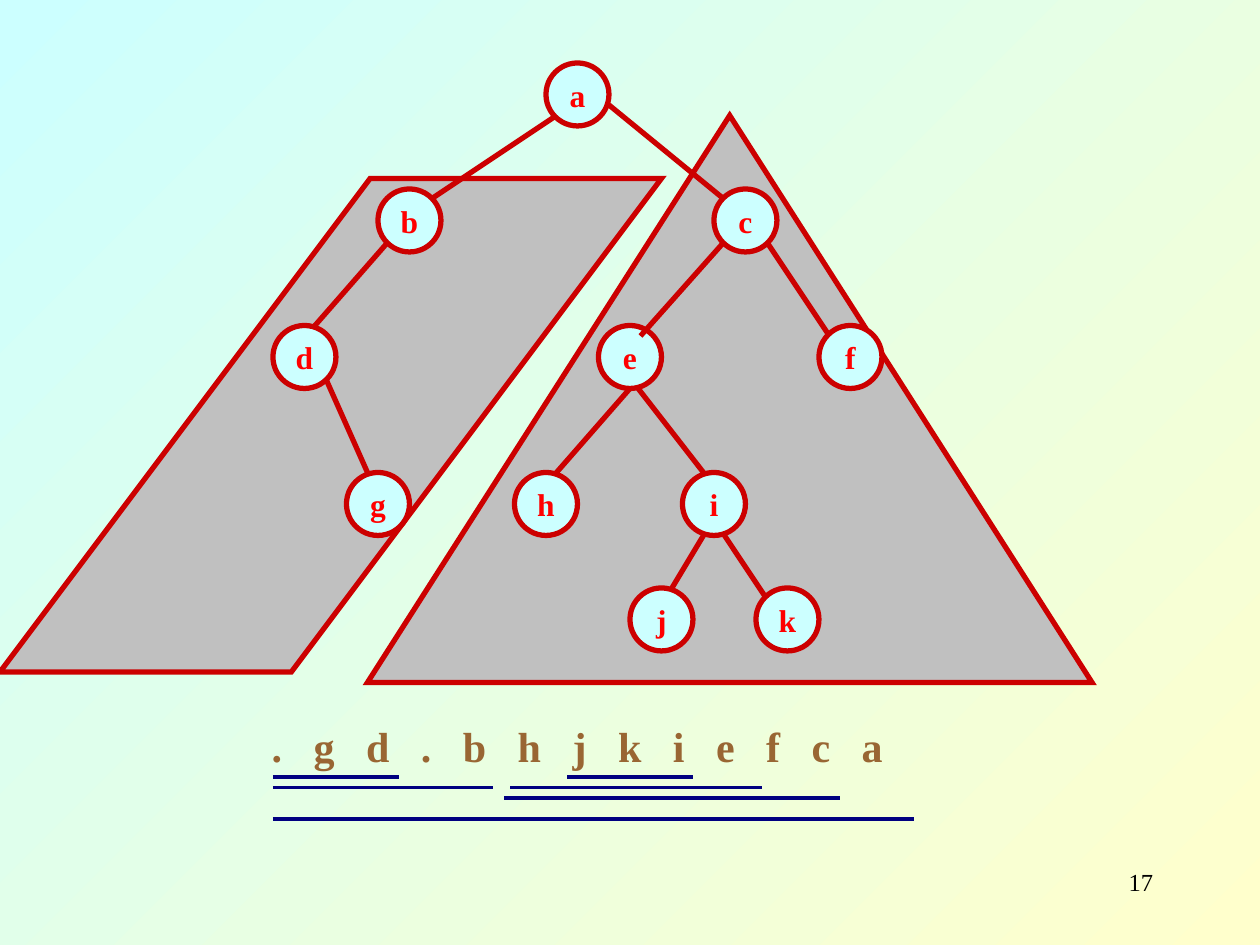
"""Build a slide of a binary tree with its postorder walk."""
from dataclasses import dataclass

from lxml import etree
from pptx import Presentation
from pptx.dml.color import RGBColor
from pptx.enum.shapes import MSO_CONNECTOR, MSO_SHAPE
from pptx.enum.text import MSO_ANCHOR, MSO_AUTO_SIZE, PP_ALIGN
from pptx.oxml.ns import qn
from pptx.util import Inches, Pt

OVAL, TRI, SLANT = MSO_SHAPE.OVAL, MSO_SHAPE.ISOSCELES_TRIANGLE, MSO_SHAPE.PARALLELOGRAM
LINE = MSO_CONNECTOR.STRAIGHT
MID, GROW = MSO_ANCHOR.MIDDLE, MSO_AUTO_SIZE.SHAPE_TO_FIT_TEXT
MID_X, RIGHT = PP_ALIGN.CENTER, PP_ALIGN.RIGHT


@dataclass(frozen=True)
class Theme:
    """Colours and sizes of the slide."""
    font: str = "Times New Roman"
    warm: str = "FFFFCC"
    cool: str = "CCFFFF"
    zone: str = "C0C0C0"
    edge: str = "CC0000"
    node: str = "FF0000"
    walk: str = "996633"
    rule: str = "000080"
    ink: str = "000000"
    node_size: int = 18
    walk_size: int = 24
    page_size: int = 14
    edge_wide: int = 3
    rule_wide: int = 2


LOOK = Theme()
CELL = 1 / 12
SIDE = 6
WALK = ". g d . b h j k i e f c a"
PAGE = "17"
LEFT_ZONE = (0, 17, 63, 47)
RIGHT_ZONE = (35, 11, 69, 54)
WALK_BOX = (10, 68, 90, 6)
PAGE_BOX = (86, 82, 25, 6)
LEVELS = [
    (6, {"a": 52}),
    (18, {"b": 36, "c": 68}),
    (31, {"d": 26, "e": 57, "f": 78}),
    (45, {"g": 33, "h": 49, "i": 65}),
    (56, {"j": 60, "k": 72}),
]
BACK_EDGE = (60, 36, 67, 45)
EDGES = [
    (53, 11, 41, 19), (58, 10, 69, 19), (37, 23, 30, 31),
    (69, 23, 61, 32), (73, 23, 79, 32), (31, 36, 35, 45),
    (60, 37, 53, 45), (67, 51, 64, 56), (69, 51, 73, 57),
]
RULES = [
    (74, 26, 38), (75, 26, 47), (74, 54, 66),
    (75, 48.6, 72.6), (76, 48, 80), (78, 26, 87),
]


def grid(box):
    return [Inches(n * CELL) for n in box]


def color(code):
    return RGBColor.from_string(code)


def write(frame, text, size, tint, align, bold=True, wrap=True, before=0, gap=0):
    frame.word_wrap = wrap
    para = frame.paragraphs[0]
    para.alignment = align
    para.space_before = Pt(before)
    run = para.add_run()
    run.text = text
    run.font.name, run.font.size, run.font.bold = LOOK.font, Pt(size), bold
    run.font.color.rgb = color(tint)
    if gap:
        run._r.get_or_add_rPr().set("spc", str(gap * 100))


def shape(slide, kind, box, fill):
    item = slide.shapes.add_shape(kind, *grid(box))
    item.shadow.inherit = False
    item.fill.solid()
    item.fill.fore_color.rgb = color(fill)
    item.line.color.rgb = color(LOOK.edge)
    item.line.width = Pt(LOOK.edge_wide)
    etree.SubElement(item._element.spPr.find(qn("a:ln")), qn("a:miter"), lim="800000")
    return item


def link(slide, ends, tint=LOOK.edge, wide=LOOK.edge_wide):
    item = slide.shapes.add_connector(LINE, *grid(ends))
    item.line.color.rgb = color(tint)
    item.line.width = Pt(wide)
    etree.SubElement(item._element.spPr, qn("a:effectLst"))


def node(slide, name, left, top):
    item = shape(slide, OVAL, (left, top, SIDE, SIDE), LOOK.cool)
    item.text_frame.vertical_anchor = MID
    write(item.text_frame, name, LOOK.node_size, LOOK.node, MID_X, wrap=False)


def paint(slide):
    fill = slide.background.fill
    fill.gradient()
    fill.gradient_angle = 135
    for stop, tint in zip(fill.gradient_stops, (LOOK.warm, LOOK.cool)):
        stop.color.rgb = color(tint)


def main():
    deck = Presentation()
    deck.slide_width, deck.slide_height = Inches(10), Inches(7.5)
    slide = deck.slides.add_slide(deck.slide_layouts.get_by_name("Blank"))
    paint(slide)

    shape(slide, TRI, RIGHT_ZONE, LOOK.zone)
    link(slide, BACK_EDGE)
    shape(slide, SLANT, LEFT_ZONE, LOOK.zone).adjustments[0] = 0.75
    for top, row in LEVELS:
        for name, left in row.items():
            node(slide, name, left, top)
    for ends in EDGES:
        link(slide, ends)

    frame = slide.shapes.add_textbox(*grid(WALK_BOX)).text_frame
    write(frame, WALK, LOOK.walk_size, LOOK.walk, MID_X, before=15, gap=6)
    frame.auto_size = GROW
    for row, start, end in RULES:
        link(slide, (start, row, end, row), LOOK.rule, LOOK.rule_wide)

    frame = slide.shapes.add_textbox(*grid(PAGE_BOX)).text_frame
    write(frame, PAGE, LOOK.page_size, LOOK.ink, RIGHT, bold=False)
    deck.save("out.pptx")


if __name__ == "__main__":
    main()
